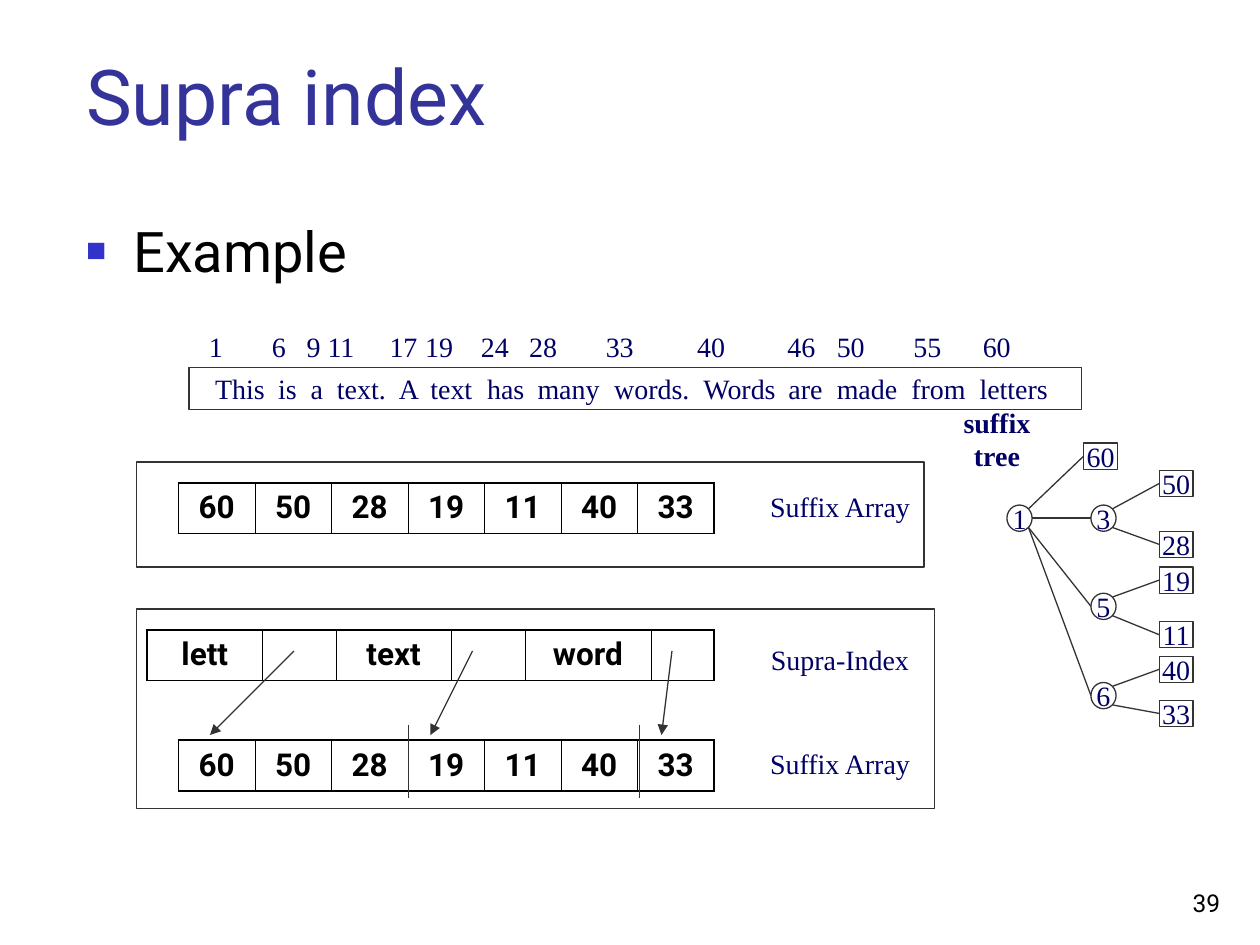
from dataclasses import dataclass
from typing import NamedTuple, Optional, Sequence

from lxml import etree
from pptx import Presentation, util as u
from pptx.dml.color import RGBColor
from pptx.enum import shapes, text
from pptx.oxml import parse_xml
from pptx.oxml.ns import nsdecls, qn

COLS, ROWS = 120, 90


@dataclass(frozen=True)
class Theme:
    title: RGBColor = RGBColor(0x33, 0x33, 0x99)
    bullet: str = "3333CC"
    ink: RGBColor = RGBColor(0, 0, 0)
    navy: RGBColor = RGBColor(0, 0, 0x66)
    line: RGBColor = RGBColor(0x33, 0x33, 0x33)
    sans: str = "Roboto"
    serif: str = "Times New Roman"
    title_size: float = 44
    body_size: float = 32
    cell_size: float = 18
    label_size: float = 16
    number_size: float = 14
    stroke: float = 0.75
    outer: float = 1.08
    inner: float = 0.45


class Box(NamedTuple):
    x: float
    y: float
    w: float
    h: float


class Node(NamedTuple):
    label: str
    x: float
    y: float
    parent: Optional[str] = None
    leaf: bool = True


class Word(NamedTuple):
    col: float
    label: str


T = Theme()
prs = Presentation()
prs.slide_width, prs.slide_height = u.Inches(10), u.Inches(7.5)
s = prs.slides.add_slide(prs.slide_layouts[1])


def gx(cols: float) -> int:
    return round(prs.slide_width * cols / COLS)


def gy(rows: float) -> int:
    return round(prs.slide_height * rows / ROWS)


def place(box: Box) -> tuple:
    return gx(box.x), gy(box.y), gx(box.w), gy(box.h)


def write(p, label: str, size: float, color=T.navy, font=T.serif,
          bold=False, align=text.PP_ALIGN.CENTER) -> None:
    p.text, p.alignment = label, align
    f = p.font
    f.name, f.size, f.bold = font, u.Pt(size), bold
    f.color.rgb = color


def label(box: Box, words: str, size=T.label_size, **look):
    sp = s.shapes.add_textbox(*place(box))
    sp.text_frame.vertical_anchor = text.MSO_ANCHOR.MIDDLE
    write(sp.text_frame.paragraphs[0], words, size, **look)
    return sp


def outline(box: Box, kind=shapes.MSO_SHAPE.RECTANGLE):
    sp = s.shapes.add_shape(kind, *place(box))
    sp.shadow.inherit = False
    sp.fill.background()
    sp.line.color.rgb, sp.line.width = T.line, u.Pt(T.stroke)
    return sp


def line(x1: float, y1: float, x2: float, y2: float, arrow=False) -> None:
    c = s.shapes.add_connector(shapes.MSO_CONNECTOR.STRAIGHT, gx(x1), gy(y1), gx(x2), gy(y2))
    c.line.color.rgb, c.line.width = T.line, u.Pt(T.stroke)
    if arrow:
        etree.SubElement(c.line._get_or_add_ln(), qn("a:tailEnd"), type="triangle")
    etree.SubElement(c._element.spPr, qn("a:effectLst"))


def spaced_row(box: Box, words: Sequence[Word]) -> None:
    sp = label(box, "\t".join(w.label for w in words), align=text.PP_ALIGN.LEFT)
    tf, start = sp.text_frame, words[0].col
    tf.margin_left, tf.margin_right, tf.word_wrap = gx(start - box.x), 0, False
    stops = "".join(f'<a:tab pos="{gx(w.col - start)}" algn="l"/>' for w in words[1:])
    tabs = parse_xml(f'<a:tabLst {nsdecls("a")}>{stops}</a:tabLst>')
    tf.paragraphs[0]._p.pPr.find(qn("a:defRPr")).addprevious(tabs)


def table(box: Box, widths: Sequence[float], labels: Sequence[str]) -> None:
    t = s.shapes.add_table(1, len(labels), *place(box)).table
    t.first_row = t.horz_banding = False
    last = len(labels) - 1
    for i, (width, words) in enumerate(zip(widths, labels)):
        t.columns[i].width = gx(width)
        cell = t.cell(0, i)
        cell.fill.background()
        cell.vertical_anchor = text.MSO_ANCHOR.MIDDLE
        write(cell.text_frame.paragraphs[0], words, T.cell_size, T.ink, T.sans, True)
        weights = {"L": T.inner if i else T.outer, "R": T.inner if i < last else T.outer,
                   "T": T.outer, "B": T.outer}
        for n, (side, pt) in enumerate(weights.items()):
            cell._tc.tcPr.insert(n, parse_xml(
                f'<a:ln{side} {nsdecls("a")} w="{u.Pt(pt)}"><a:solidFill>'
                f'<a:srgbClr val="{T.ink}"/></a:solidFill></a:ln{side}>'))


def node_box(n: Node) -> Box:
    return Box(n.x, n.y, 3.24 if n.leaf else 2.4, 2.5)


def draw_node(n: Node) -> None:
    sp = outline(node_box(n), shapes.MSO_SHAPE.RECTANGLE if n.leaf else shapes.MSO_SHAPE.OVAL)
    tf = sp.text_frame
    tf.margin_left = tf.margin_right = tf.margin_top = tf.margin_bottom = 0
    tf.word_wrap, tf.vertical_anchor = False, text.MSO_ANCHOR.MIDDLE
    write(tf.paragraphs[0], n.label, T.label_size)


def draw_branch(parent: Node, child: Node) -> None:
    b, c = node_box(parent), node_box(child)
    side = (c.y > b.y) - (c.y < b.y)
    reach = 0.71 if side else 1
    line(b.x + b.w / 2 * (1 + reach), b.y + b.h / 2 * (1 + side * reach), c.x, c.y + c.h / 2)


sp = s.shapes.title
sp.left, sp.top, sp.width, sp.height = place(Box(7, 2.8, 109, 11.2))
sp.text_frame.vertical_anchor = text.MSO_ANCHOR.BOTTOM
write(sp.text_frame.paragraphs[0], "Supra index", T.title_size, T.title, T.sans,
      align=text.PP_ALIGN.LEFT)

sp = s.placeholders[1]
sp.left, sp.top, sp.width, sp.height = place(Box(7, 20, 108, 60.5))
p = sp.text_frame.paragraphs[0]
write(p, "Example", T.body_size, T.ink, T.sans, align=text.PP_ALIGN.LEFT)
p.space_before = u.Pt(8)
pPr = p._p.pPr
pPr.set("marL", str(gx(4.5)))
pPr.set("indent", str(-gx(4.5)))
for xml in (f'<a:buClr {nsdecls("a")}><a:srgbClr val="{T.bullet}"/></a:buClr>',
            f'<a:buSzPct {nsdecls("a")} val="60000"/>',
            f'<a:buChar {nsdecls("a")} char="■"/>'):
    pPr.find(qn("a:defRPr")).addprevious(parse_xml(xml))

outline(Box(18, 35, 85, 4))
SENTENCE = "This is a text. A text has many words. Words are made from letters".split()
WORD_COLS = (20.5, 26.5, 29.6, 32.1, 38, 41, 46.4, 51.2, 58.5, 67, 75.1, 79.7, 86.8, 93.3)
OFFSETS = "1 6 9 11 17 19 24 28 33 40 46 50 55 60".split()
OFFSET_COLS = (19.9, 25.9, 29.2, 31.2, 37.1, 40.5, 45.8, 50.4, 57.7, 66.4, 75, 79.7, 87, 93.6)
spaced_row(Box(18, 35, 85, 4), [Word(*w) for w in zip(WORD_COLS, SENTENCE)])
spaced_row(Box(18, 31, 85, 4), [Word(*w) for w in zip(OFFSET_COLS, OFFSETS)])

for panel in (Box(13, 44, 75, 10), Box(13, 58, 76, 19)):
    outline(panel)
SUFFIXES = "60 50 28 19 11 40 33".split()
for row in (46, 70.5):
    table(Box(17, row, 51, 4.8), [51 / 7] * 7, SUFFIXES)
    label(Box(72, row, 16, 4.4), "Suffix Array")
table(Box(14, 60, 54, 4.8), (11, 7, 11, 7, 12, 6), ("lett", "", "text", "", "word", ""))
label(Box(72.2, 60.6, 15.6, 4.4), "Supra-Index")
for x1, x2 in ((28, 20), (45, 41), (64, 63)):
    line(x1, 62, x2, 70, arrow=True)
for x in (38.9, 60.9):
    line(x, 69, x, 76)

label(Box(88.1, 39.6, 13.7, 4.4), "suffix tree", bold=True)
NODES = (
    Node("1", 95.9, 48.1, leaf=False),
    Node("3", 103.9, 48.1, "1", False),
    Node("5", 103.9, 56.5, "1", False),
    Node("6", 103.9, 65, "1", False),
    Node("60", 103.2, 42.2, "1"),
    Node("50", 110.4, 44.8, "3"),
    Node("28", 110.4, 50.6, "3"),
    Node("19", 110.4, 54, "5"),
    Node("11", 110.4, 59.2, "5"),
    Node("40", 110.4, 62.5, "6"),
    Node("33", 110.4, 66.7, "6"),
)
by_label = {n.label: n for n in NODES}
for n in NODES:
    draw_node(n)
    if n.parent:
        draw_branch(by_label[n.parent], n)

sp = label(Box(92.4, 82, 25, 6), "39", T.number_size, color=T.ink, font=T.sans,
           align=text.PP_ALIGN.RIGHT)
sp.text_frame.vertical_anchor = text.MSO_ANCHOR.BOTTOM

prs.save("out.pptx")
